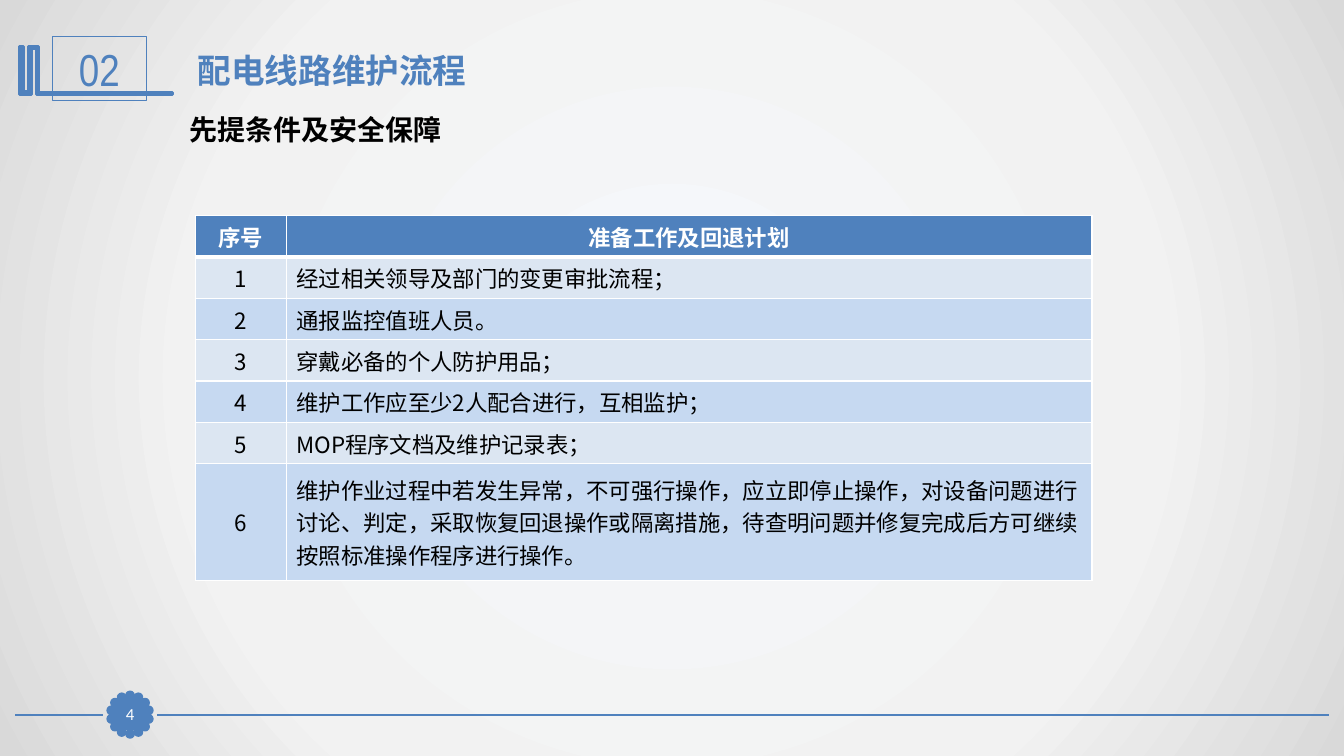
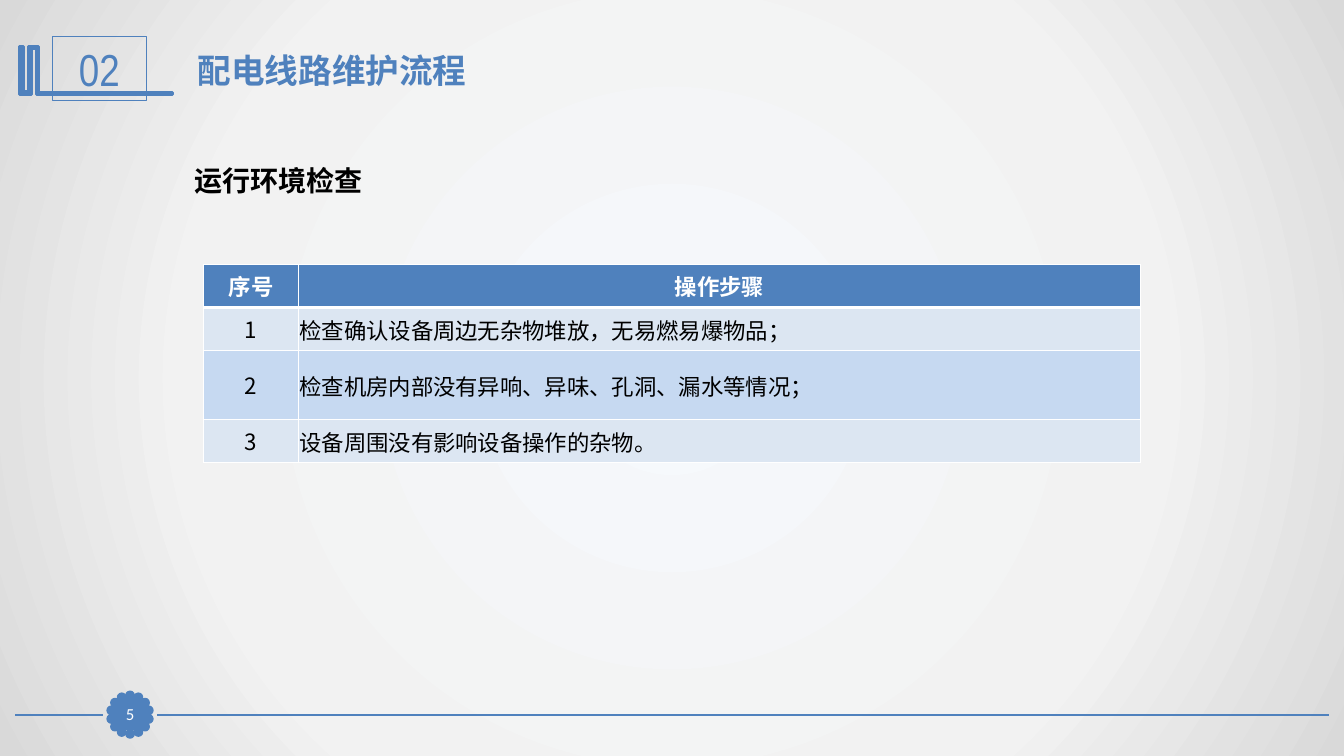
"""Build two slides on the maintenance of power distribution lines."""
from math import cos, pi, sin

from lxml.etree import SubElement
from pptx import Presentation
from pptx.dml.color import RGBColor
from pptx.enum.shapes import MSO_CONNECTOR, MSO_SHAPE
from pptx.enum.text import MSO_ANCHOR, MSO_AUTO_SIZE, PP_ALIGN
from pptx.oxml import parse_xml
from pptx.oxml.ns import nsdecls, qn
from pptx.util import Inches, Pt

COLORS = {
    "accent": "4F81BD",
    "white": "FFFFFF",
    "black": "000000",
    "odd_row": "DCE6F2",
    "even_row": "C6D9F1",
}
BACKDROP = [(0, "F6F9FC"), (63, "F2F2F2"), (100, "D9D9D9")]
LATIN, CHINESE, NUMERAL = "Calibri", "Noto Sans CJK SC", "Arial Narrow"
EMBLEM = [
    (37, 46), (38, 46), (38, 92), (171, 92), (171, 94), (37, 94), (36, 94),
    (36, 48), (31, 48), (31, 94), (19, 94), (19, 46), (23, 46), (23, 91),
    (28, 91), (28, 46),
]


class Deck:
    def __init__(self):
        self.prs = Presentation()
        self.prs.slide_width = Inches(13.33)
        self.prs.slide_height = Inches(7.5)
        self.slide = None
        self.set_backdrop()

    def set_backdrop(self):
        master = self.prs.slide_master
        master.background.fill.gradient()
        gradient = master.element.find(".//" + qn("a:gradFill"))
        stops = "".join(
            f'<a:gs pos="{pos * 1000}"><a:srgbClr val="{color}"/></a:gs>'
            for pos, color in BACKDROP
        )
        gradient.getparent().replace(gradient, parse_xml(
            f'<a:gradFill {nsdecls("a")} rotWithShape="1"><a:gsLst>{stops}</a:gsLst>'
            '<a:path path="circle"><a:fillToRect l="50000" t="50000" r="50000" b="50000"/>'
            "</a:path></a:gradFill>"
        ))

    def start_slide(self, section, title, number):
        self.slide = self.prs.slides.add_slide(self.prs.slide_layouts[5])
        self.footer(number)
        self.section_mark(section)
        self.title(title)

    def add_text(self, frame, text, size, color, font=LATIN, bold=False, align=PP_ALIGN.LEFT):
        paragraph = frame.paragraphs[0]
        paragraph.alignment = align
        run = paragraph.add_run()
        run.text = text
        run.font.size = Pt(size)
        run.font.bold = bold
        run.font.color.rgb = RGBColor.from_string(COLORS[color])
        run.font.name = font
        SubElement(run._r.get_or_add_rPr(), qn("a:ea"), typeface=CHINESE)

    def paint(self, shape, filled, width):
        shape.shadow.inherit = False
        if filled:
            shape.fill.solid()
            shape.fill.fore_color.rgb = RGBColor.from_string(COLORS["accent"])
        else:
            shape.fill.background()
        shape.line.color.rgb = RGBColor.from_string(COLORS["accent"])
        shape.line.width = Pt(width)

    def shape(self, kind, left, top, width, height, filled=True, line=0.75):
        shape = self.slide.shapes.add_shape(
            kind, Inches(left), Inches(top), Inches(width), Inches(height))
        self.paint(shape, filled, line)
        return shape

    def rule(self, start, end, y):
        rule = self.slide.shapes.add_connector(
            MSO_CONNECTOR.STRAIGHT, Inches(start), Inches(y), Inches(end), Inches(y))
        rule.line.color.rgb = RGBColor.from_string(COLORS["accent"])
        rule.line.width = Pt(1.25)
        SubElement(rule._element.spPr, qn("a:effectLst"))

    def footer(self, number):
        self.rule(1.56, 13.18, 7.09)
        self.rule(0.15, 1.02, 7.09)
        petals, petal, radius = 14, 0.07, 0.19
        center_x, center_y = 1.29, 7.09
        for index in range(petals):
            angle = 2 * pi * index / petals
            self.shape(
                MSO_SHAPE.OVAL,
                center_x + radius * sin(angle) - petal / 2,
                center_y - radius * cos(angle) - petal / 2,
                petal, petal, line=2)
        badge = self.shape(MSO_SHAPE.RECTANGLE, 1.13, 6.93, 0.32, 0.31)
        frame = badge.text_frame
        frame.margin_left = frame.margin_right = 0
        frame.margin_top = frame.margin_bottom = 0
        frame.vertical_anchor = MSO_ANCHOR.MIDDLE
        self.add_text(frame, number, 12, "white", align=PP_ALIGN.CENTER)

    def section_mark(self, section):
        builder = self.slide.shapes.build_freeform(*EMBLEM[0], scale=Inches(0.01))
        builder.add_line_segments(EMBLEM[1:], close=True)
        self.paint(builder.convert_to_shape(), True, 2)
        box = self.shape(MSO_SHAPE.RECTANGLE, 0.52, 0.36, 0.93, 0.64, filled=False)
        box.text_frame.vertical_anchor = MSO_ANCHOR.MIDDLE
        self.add_text(box.text_frame, section, 32, "accent", NUMERAL, align=PP_ALIGN.CENTER)

    def title(self, text):
        title = self.slide.shapes.title
        title.left, title.top = Inches(1.86), Inches(0.44)
        title.width, title.height = Inches(9.69), Inches(0.5)
        frame = title.text_frame
        frame.vertical_anchor = MSO_ANCHOR.TOP
        frame.auto_size = MSO_AUTO_SIZE.SHAPE_TO_FIT_TEXT
        self.add_text(frame, text, 24, "accent", bold=True)

    def subheading(self, text, left, top, width):
        box = self.slide.shapes.add_textbox(
            Inches(left), Inches(top), Inches(width), Inches(0.44))
        box.text_frame.word_wrap = True
        box.text_frame.auto_size = MSO_AUTO_SIZE.SHAPE_TO_FIT_TEXT
        self.add_text(box.text_frame, text, 20, "black", bold=True)

    def border(self, cell, row):
        weights = {"L": 1, "R": 1, "T": 3 if row == 1 else 1, "B": 3 if row == 0 else 1}
        properties = cell._tc.get_or_add_tcPr()
        for side, weight in weights.items():
            line = SubElement(properties, qn(f"a:ln{side}"), w=str(Pt(weight)))
            fill = SubElement(line, qn("a:solidFill"))
            SubElement(fill, qn("a:srgbClr"), val=COLORS["white"])

    def steps_table(self, heading, steps, left, top, widths, heights, inset=None):
        rows = [("序号", heading)]
        rows += [(str(number), step) for number, step in enumerate(steps, 1)]
        table = self.slide.shapes.add_table(
            len(rows), 2, Inches(left), Inches(top),
            Inches(sum(widths)), Inches(sum(heights))).table
        for column, width in zip(table.columns, widths):
            column.width = Inches(width)
        for index, (texts, height) in enumerate(zip(rows, heights)):
            table.rows[index].height = Inches(height)
            header = index == 0
            band = "accent" if header else "odd_row" if index % 2 else "even_row"
            for column, text in enumerate(texts):
                cell = table.cell(index, column)
                step = column == 1 and not header
                self.border(cell, index)
                cell.fill.solid()
                cell.fill.fore_color.rgb = RGBColor.from_string(COLORS[band])
                cell.vertical_anchor = MSO_ANCHOR.MIDDLE
                if step and inset is not None:
                    cell.margin_left = cell.margin_right = cell.margin_top = Inches(inset)
                    cell.margin_bottom = 0
                self.add_text(
                    cell.text_frame, text, 16, "white" if header else "black", CHINESE,
                    bold=header, align=PP_ALIGN.LEFT if step else PP_ALIGN.CENTER)


def main():
    deck = Deck()
    section, title = "02", "配电线路维护流程"

    deck.start_slide(section, title, "4")
    deck.subheading("先提条件及安全保障", 1.78, 1.07, 5.67)
    deck.steps_table(
        "准备工作及回退计划",
        [
            "经过相关领导及部门的变更审批流程；",
            "通报监控值班人员。",
            "穿戴必备的个人防护用品；",
            "维护工作应至少2人配合进行，互相监护；",
            "MOP程序文档及维护记录表；",
            "维护作业过程中若发生异常，不可强行操作，应立即停止操作，"
            "对设备问题进行讨论、判定，采取恢复回退操作或隔离措施，"
            "待查明问题并修复完成后方可继续按照标准操作程序进行操作。",
        ],
        1.94, 2.14, [0.9, 7.99], [0.41] * 6 + [1.16])

    deck.start_slide(section, title, "5")
    deck.subheading("运行环境检查", 1.83, 1.57, 4.65)
    deck.steps_table(
        "操作步骤",
        [
            "检查确认设备周边无杂物堆放，无易燃易爆物品；",
            "检查机房内部没有异响、异味、孔洞、漏水等情况；",
            "设备周围没有影响设备操作的杂物。",
        ],
        2.02, 2.62, [0.94, 8.35], [0.43, 0.43, 0.68, 0.43], inset=0.01)

    deck.prs.save("out.pptx")


if __name__ == "__main__":
    main()
